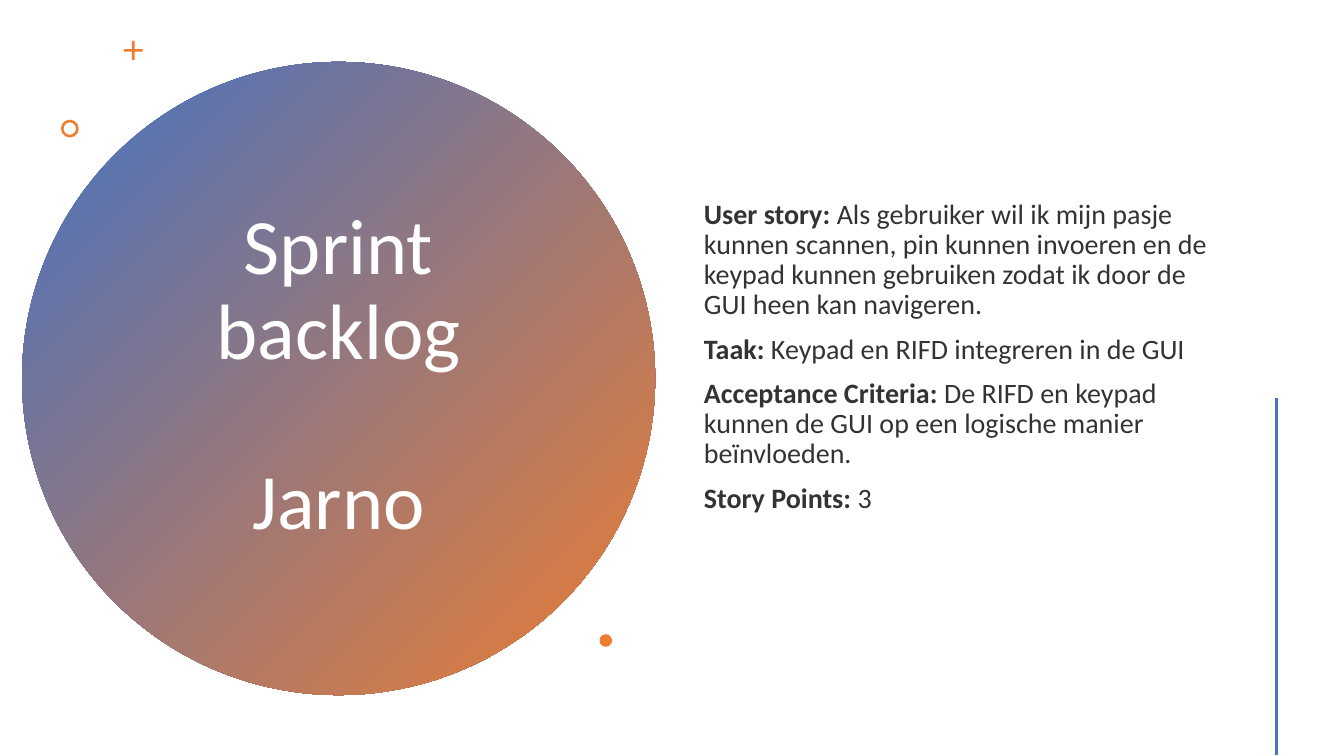
from lxml import etree
from pptx import Presentation
from pptx.dml.color import RGBColor
from pptx.enum.shapes import MSO_CONNECTOR, MSO_SHAPE
from pptx.enum.text import MSO_ANCHOR, MSO_AUTO_SIZE, PP_ALIGN
from pptx.oxml.ns import qn
from pptx.util import Pt

PX = 9525
BLUE, ORANGE, WHITE, DARK = "4472C4", "ED7D31", "FFFFFF", "333333"


def px(*lengths):
    return [length * PX for length in lengths]


def rgb(hex_colour):
    return RGBColor.from_string(hex_colour)


prs = Presentation()
prs.slide_width, prs.slide_height = px(1280, 720)
slide = prs.slides.add_slide(prs.slide_layouts[5])
shapes = slide.shapes

# Gradient circle, placed behind the title
circle = shapes.add_shape(MSO_SHAPE.OVAL, *px(21, 59, 603, 603))
circle.shadow.inherit = False
circle.line.fill.background()
circle.fill.gradient()
circle.fill.gradient_angle = 315
for stop, colour, position in zip(circle.fill.gradient_stops, (BLUE, ORANGE), (0, 1)):
    stop.color.rgb = rgb(colour)
    stop.position = position

title = shapes.title
title.element.addprevious(circle.element)
title.left, title.top, title.width, title.height = px(131, 135, 383, 448)
heading = title.text_frame
heading.text = "Sprint backlog\nJarno"
heading.word_wrap = True
heading.auto_size = MSO_AUTO_SIZE.NONE
heading.vertical_anchor = MSO_ANCHOR.MIDDLE
for paragraph in heading.paragraphs:
    paragraph.alignment = PP_ALIGN.CENTER
    paragraph.line_spacing = 0.9
    paragraph.font.name = "Calibri"
    paragraph.font.size = Pt(56)
    paragraph.font.color.rgb = rgb(WHITE)
heading.paragraphs[1].space_before = Pt(61)

# Orange ornaments around the circle: plus, ring, dot
ornaments = [
    (MSO_SHAPE.CROSS, 118, 39, 18, 0.43),
    (MSO_SHAPE.DONUT, 58, 114, 17, 0.15),
    (MSO_SHAPE.OVAL, 571, 604, 12, None),
]
for preset, left, top, size, adjustment in ornaments:
    ornament = shapes.add_shape(preset, *px(left, top, size, size))
    ornament.shadow.inherit = False
    ornament.fill.solid()
    ornament.fill.fore_color.rgb = rgb(ORANGE)
    ornament.line.fill.background()
    if adjustment is not None:
        ornament.adjustments[0] = adjustment

# Backlog item
backlog_item = [
    ("User story: ", "Als gebruiker wil ik mijn pasje kunnen scannen, pin kunnen invoeren "
                     "en de keypad kunnen gebruiken zodat ik door de GUI heen kan navigeren."),
    ("Taak: ", "Keypad en RIFD integreren in de GUI"),
    ("Acceptance Criteria: ", "De RIFD en keypad kunnen de GUI op een logische manier beïnvloeden."),
    ("Story Points: ", "3"),
]
story = shapes.add_textbox(*px(661, 34, 501, 612)).text_frame
story.word_wrap = True
story.vertical_anchor = MSO_ANCHOR.MIDDLE
for index, (label, detail) in enumerate(backlog_item):
    paragraph = story.add_paragraph() if index else story.paragraphs[0]
    paragraph.line_spacing = 0.9
    paragraph.space_before = Pt(10)
    paragraph.font.name = "Calibri"
    paragraph.font.size = Pt(20)
    paragraph.font.color.rgb = rgb(DARK)
    label_run = paragraph.add_run()
    label_run.text = label
    label_run.font.bold = True
    paragraph.add_run().text = detail

side_rule = shapes.add_connector(MSO_CONNECTOR.STRAIGHT, *px(1216, 379, 1216, 719))
side_rule.line.color.rgb = rgb(BLUE)
side_rule.line.width = Pt(2)
etree.SubElement(side_rule.element.spPr, qn("a:effectLst"))

prs.save("out.pptx")
